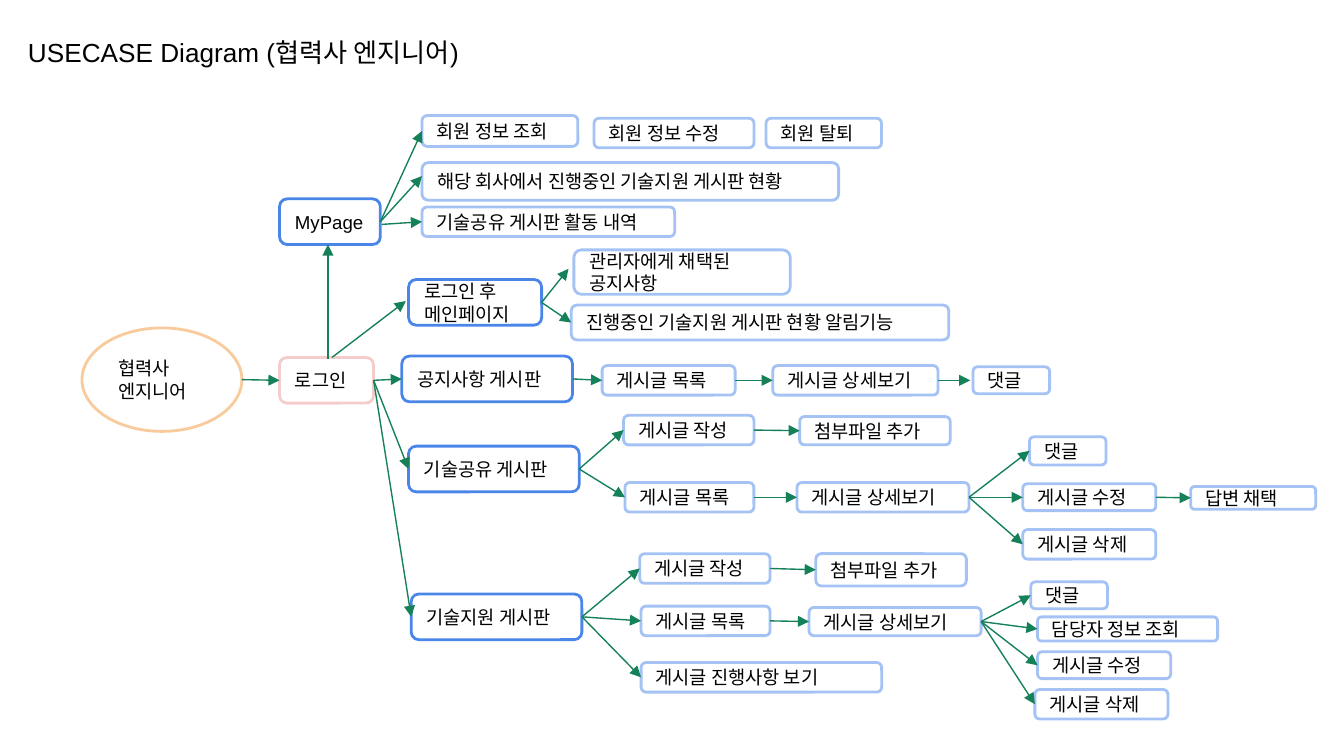
from lxml import etree
from pptx import Presentation
from pptx.dml import color
from pptx.enum import shapes, text
from pptx.oxml import ns
from pptx.util import Pt

PX = 9144
WIDTH = 1000
FONT = "Arial"
INK, PAPER, ARROW = "000000", "FFFFFF", "158158"
TITLE = ("USECASE Diagram (협력사 엔지니어)", (11, 17, 932, 63))
LEFT, RIGHT = 1, 3

ACTOR = ("협력사 엔지니어", 61, 244, 119, 77)
LOGIN = ("로그인", 208, 266, 70, 34)
PAGES = {
    "mypage": ("MyPage", 208, 148, 75, 34),
    "main": ("로그인 후 메인페이지", 304, 208, 99, 34),
    "notice": ("공지사항 게시판", 299, 265, 127, 34),
    "share": ("기술공유 게시판", 304, 332, 127, 34),
    "support": ("기술지원 게시판", 306, 442, 127, 34),
}
ACTIONS = {
    "member view": ("회원 정보 조회", 314, 86, 116, 23),
    "member edit": ("회원 정보 수정", 442, 88, 119, 22),
    "member leave": ("회원 탈퇴", 570, 88, 86, 22),
    "company": ("해당 회사에서 진행중인 기술지원 게시판 현황", 314, 121, 310, 28),
    "activity": ("기술공유 게시판 활동 내역", 314, 154, 188, 22),
    "chosen": ("관리자에게 채택된 공지사항", 427, 186, 161, 33),
    "alert": ("진행중인 기술지원 게시판 현황 알림기능", 425, 227, 281, 26),
    "notice list": ("게시글 목록", 448, 272, 99, 22),
    "notice detail": ("게시글 상세보기", 575, 272, 123, 22),
    "notice reply": ("댓글", 724, 273, 57, 20),
    "share write": ("게시글 작성", 464, 309, 97, 22),
    "share file": ("첨부파일 추가", 595, 310, 112, 21),
    "share list": ("게시글 목록", 465, 359, 96, 22),
    "share detail": ("게시글 상세보기", 593, 359, 128, 22),
    "share reply": ("댓글", 766, 325, 57, 21),
    "share edit": ("게시글 수정", 761, 360, 99, 20),
    "share delete": ("게시글 삭제", 761, 394, 99, 22),
    "answer": ("답변 채택", 886, 362, 93, 17),
    "support write": ("게시글 작성", 476, 412, 97, 22),
    "support file": ("첨부파일 추가", 607, 412, 112, 24),
    "support list": ("게시글 목록", 477, 451, 96, 22),
    "support detail": ("게시글 상세보기", 602, 452, 128, 21),
    "support progress": ("게시글 진행사항 보기", 477, 493, 179, 22),
    "support reply": ("댓글", 767, 433, 57, 20),
    "manager": ("담당자 정보 조회", 772, 459, 134, 18),
    "support edit": ("게시글 수정", 772, 485, 99, 20),
    "support delete": ("게시글 삭제", 770, 513, 99, 22),
}
FLOWS = {
    "actor": ["login"],
    "login": ["mypage", "main", "notice", "share", "support"],
    "mypage": ["member view", "company", "activity"],
    "main": ["chosen", "alert"],
    "notice": ["notice list"],
    "notice list": ["notice detail"],
    "notice detail": ["notice reply"],
    "share": ["share write", "share list"],
    "share write": ["share file"],
    "share list": ["share detail"],
    "share detail": ["share reply", "share edit", "share delete"],
    "share edit": ["answer"],
    "support": ["support write", "support list", "support progress"],
    "support write": ["support file"],
    "support list": ["support detail"],
    "support detail": ["support reply", "manager", "support edit", "support delete"],
}
LOOSE_STARTS = {"mypage": (244, 267), "main": (247, 266), "activity": (284, 167)}
LOOSE_TIPS = {
    "mypage": (244, 182),
    "main": (302, 224),
    "company": (314, 131),
    "chosen": (423, 200),
    "notice reply": (722, 283),
}


def rgb(value):
    return color.RGBColor.from_string(value)


def scaled(lengths):
    return [n * PX for n in lengths]


def write(frame, words, size):
    frame.word_wrap = True
    frame.margin_left = frame.margin_right = 10 * PX
    frame.margin_top = frame.margin_bottom = 10 * PX
    frame.text = words
    para = frame.paragraphs[0]
    para.alignment = text.PP_ALIGN.LEFT
    span = para.runs[0]
    span.font.name = FONT
    span.font.size = Pt(size)
    span.font.color.rgb = rgb(INK)


def add_node(page, node, outline, kind=shapes.MSO_SHAPE.ROUNDED_RECTANGLE):
    words, *place = node
    box = page.shapes.add_shape(kind, *scaled(place))
    box.shadow.inherit = False
    box.fill.solid()
    box.fill.fore_color.rgb = rgb(PAPER)
    box.line.color.rgb = rgb(outline)
    box.line.width = Pt(1.5)
    write(box.text_frame, words, 10)
    box.text_frame.vertical_anchor = text.MSO_ANCHOR.MIDDLE
    return box


def add_arrow(page, source, target, loose_start, loose_tip):
    start = (source.left + source.width, source.top + source.height // 2)
    tip = (target.left, target.top + target.height // 2)
    if loose_start:
        start = scaled(loose_start)
    if loose_tip:
        tip = scaled(loose_tip)
    arrow = page.shapes.add_connector(shapes.MSO_CONNECTOR.STRAIGHT, *start, *tip)
    if not loose_start and source.auto_shape_type != shapes.MSO_SHAPE.OVAL:
        arrow.begin_connect(source, RIGHT)
    if not loose_tip:
        arrow.end_connect(target, LEFT)
    arrow.line.color.rgb = rgb(ARROW)
    arrow.line.width = Pt(0.75)
    line = arrow.line._get_or_add_ln()
    etree.SubElement(line, ns.qn("a:tailEnd"), type="triangle")
    etree.SubElement(arrow._element.spPr, ns.qn("a:effectLst"))


def main():
    deck = Presentation()
    deck.slide_width = WIDTH * PX
    deck.slide_height = deck.slide_width * 9 // 16
    page = deck.slides.add_slide(deck.slide_layouts[6])

    words, place = TITLE
    title = page.shapes.add_textbox(*scaled(place))
    write(title.text_frame, words, 14)

    boxes = {
        "actor": add_node(page, ACTOR, "F9CB9C", shapes.MSO_SHAPE.OVAL),
        "login": add_node(page, LOGIN, "F4CCCC"),
    }
    for nodes, outline in ((PAGES, "4A86E8"), (ACTIONS, "A4C2F4")):
        for name, node in nodes.items():
            boxes[name] = add_node(page, node, outline)

    for source, targets in FLOWS.items():
        for target in targets:
            add_arrow(page, boxes[source], boxes[target],
                      LOOSE_STARTS.get(target), LOOSE_TIPS.get(target))

    deck.save("out.pptx")


if __name__ == "__main__":
    main()
